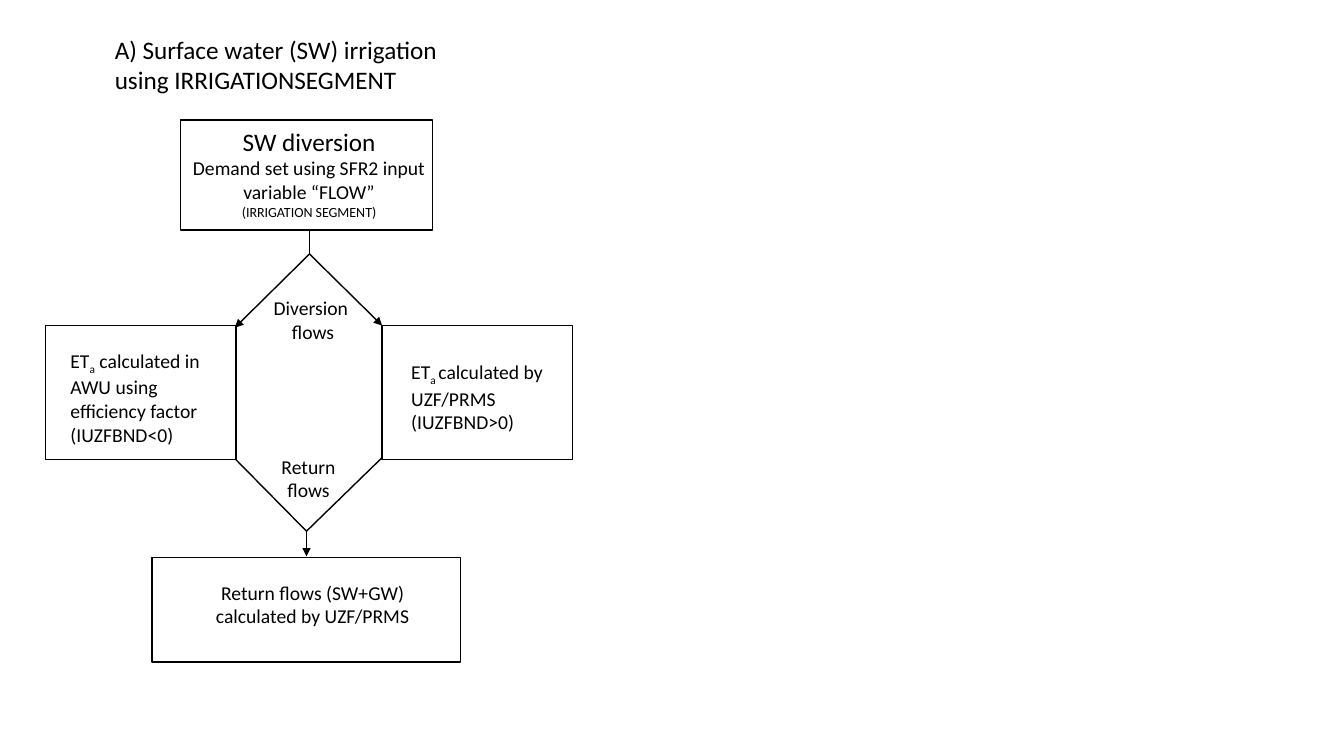
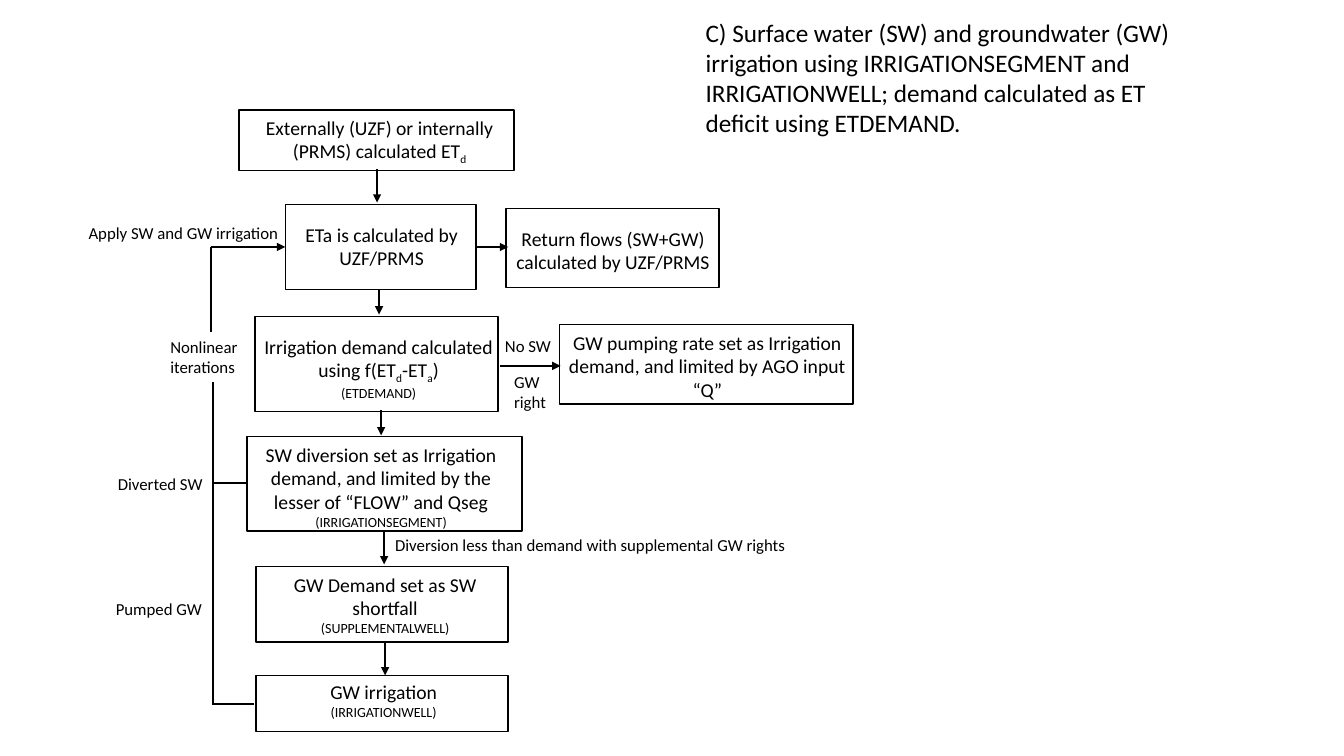
from dataclasses import dataclass
from typing import Any

from lxml import etree
from pptx import Presentation
from pptx.dml.color import RGBColor
from pptx.enum.shapes import MSO_CONNECTOR, MSO_SHAPE
from pptx.enum.text import MSO_AUTO_SIZE, PP_ALIGN
from pptx.oxml.ns import qn
from pptx.util import Inches, Pt

BLACK = RGBColor(0x00, 0x00, 0x00)
FONT = "Calibri"
TITLE_SIZE, BODY_SIZE, LABEL_SIZE, KEYWORD_SIZE = 18, 14, 12, 10
LEFT, CENTER = PP_ALIGN.LEFT, PP_ALIGN.CENTER
RECTANGLE = MSO_SHAPE.RECTANGLE
STRAIGHT = MSO_CONNECTOR.STRAIGHT
GROW = MSO_AUTO_SIZE.SHAPE_TO_FIT_TEXT


@dataclass
class Region:
    """A slide area; all lengths inside it are inches from its top left corner."""
    slide: Any
    left: float
    top: float
    line_width: float = 1

    def place(self, x, y):
        return Inches(self.left + x), Inches(self.top + y)

    def text(self, box, paragraphs, size=BODY_SIZE, align=LEFT, wrap=True):
        """Each paragraph is a string or (string, size); ~ encloses a subscript."""
        x, y, width, height = box
        text_box = self.slide.shapes.add_textbox(
            *self.place(x, y), Inches(width), Inches(height))
        frame = text_box.text_frame
        frame.word_wrap = wrap
        frame.auto_size = GROW
        for index, item in enumerate(paragraphs):
            content, points = item if isinstance(item, tuple) else (item, size)
            paragraph = frame.add_paragraph() if index else frame.paragraphs[0]
            paragraph.alignment = align
            paragraph.font.name = FONT
            paragraph.font.size = Pt(points)
            paragraph.font.color.rgb = BLACK
            for part, piece in enumerate(content.split("~")):
                run = paragraph.add_run()
                run.text = piece
                if part % 2:
                    run._r.get_or_add_rPr().set("baseline", "-25000")

    def node(self, outline, text_box, paragraphs, align=CENTER):
        x, y, width, height = outline
        shape = self.slide.shapes.add_shape(
            RECTANGLE, *self.place(x, y), Inches(width), Inches(height))
        shape.shadow.inherit = False
        shape.fill.background()
        shape.line.color.rgb = BLACK
        shape.line.width = Pt(1)
        self.text(text_box, paragraphs, align=align)

    def line(self, start, end, arrow=False):
        connector = self.slide.shapes.add_connector(
            STRAIGHT, *self.place(*start), *self.place(*end))
        connector.line.color.rgb = BLACK
        connector.line.width = Pt(self.line_width)
        if arrow:
            outline = connector.line._get_or_add_ln()
            etree.SubElement(outline, qn("a:tailEnd"), type="triangle")
        etree.SubElement(connector._element.spPr, qn("a:effectLst"))

    def arrow(self, start, end):
        self.line(start, end, arrow=True)


def add_title(slide, left, top, width, height, text):
    Region(slide, left, top).text((0, 0, width, height), [text], TITLE_SIZE)


def surface_water_flow(slide, left, top):
    region = Region(slide, left, top)

    # Diversion at the top
    region.node((1.34, 0, 2.5, 1.09), (1.12, 0.01, 2.99, 1.28), [
        ("SW diversion", TITLE_SIZE),
        "Demand set using SFR2 input variable “FLOW”",
        ("(IRRIGATION SEGMENT)", KEYWORD_SIZE)])

    # Two ways to calculate evapotranspiration
    region.node((0, 2.04, 1.89, 1.33), (0.15, 2.22, 1.82, 1.04), [
        "ET~a~ calculated in AWU using efficiency factor",
        "(IUZFBND<0)"], LEFT)
    region.node((3.34, 2.04, 1.89, 1.33), (3.53, 2.33, 1.89, 0.81), [
        "ET~a ~calculated by UZF/PRMS", "(IUZFBND>0)"], LEFT)

    # Return flows at the bottom
    region.node((1.06, 4.34, 3.06, 1.04), (1.29, 4.52, 2.72, 0.57),
                ["Return flows (SW+GW) calculated by UZF/PRMS"])

    # Branching and joining lines
    split, join = (2.62, 1.33), (2.59, 4.08)
    region.line((2.62, 1.09), split)
    region.arrow(split, (3.34, 2.04))
    region.arrow(split, (1.88, 2.06))
    region.line((1.88, 3.36), join)
    region.line((3.34, 3.35), join)
    region.arrow(join, (2.59, 4.33))

    # Flow labels
    region.text((2.16, 1.7, 0.99, 0.57), ["Diversion ", "flows"],
                align=CENTER, wrap=False)
    region.text((2.24, 3.27, 0.74, 0.57), ["Return", "flows"],
                align=CENTER, wrap=False)


def conjunctive_use_flow(slide, left, top):
    region = Region(slide, left, top, line_width=1.5)

    # Main column of steps
    region.node((1.59, 0, 2.73, 0.6), (1.59, 0.01, 2.79, 0.57),
                ["Externally (UZF) or internally (PRMS) calculated ET~d~"])
    region.node((2.05, 0.94, 1.89, 0.84), (2.06, 1.07, 1.89, 0.57),
                ["ETa is calculated by UZF/PRMS"])
    region.node((1.75, 2.05, 2.41, 0.94), (1.72, 2.18, 2.51, 0.74), [
        "Irrigation demand calculated using f(ET~d~-ET~a~)",
        ("(ETDEMAND)", KEYWORD_SIZE)])
    region.node((1.67, 3.24, 2.73, 0.94), (1.6, 3.25, 2.8, 0.98), [
        "SW diversion set as Irrigation demand, and limited by the "
        "lesser of “FLOW” and Qseg",
        ("(IRRIGATIONSEGMENT)", KEYWORD_SIZE)])
    region.node((1.76, 4.53, 2.5, 0.75), (1.78, 4.54, 2.52, 0.74), [
        "GW Demand set as SW shortfall",
        ("(SUPPLEMENTALWELL)", KEYWORD_SIZE)])
    region.node((1.76, 5.61, 2.5, 0.56), (1.53, 5.61, 2.99, 0.74), [
        "GW irrigation", ("(IRRIGATIONWELL)", KEYWORD_SIZE)])

    # Side branches
    region.node((4.24, 0.98, 2.11, 0.78), (3.99, 1.11, 2.62, 0.57),
                ["Return flows (SW+GW) calculated by UZF/PRMS"])
    region.node((4.77, 2.13, 2.91, 0.79), (4.74, 2.14, 2.99, 0.81), [
        "GW pumping rate set as Irrigation demand, and limited by "
        "AGO input “Q”"])

    # Arrows down the column
    for x, start, end in [(2.96, 0.59, 0.92), (2.98, 1.79, 2.03),
                          (3, 2.98, 3.23), (3.03, 4.18, 4.51),
                          (3.04, 5.28, 5.61)]:
        region.arrow((x, start), (x, end))

    # Arrows to the right
    for y, start, end in [(1.36, 1.31, 2.05), (1.36, 3.93, 4.26),
                          (2.54, 4.18, 4.78)]:
        region.arrow((start, y), (end, y))

    # Iteration loop on the left
    region.line((1.74, 5.89), (1.34, 5.89))
    region.line((1.33, 5.9), (1.33, 2.7))
    region.line((1.68, 3.7), (1.33, 3.7))
    region.line((1.31, 2.2), (1.31, 1.36))

    # Labels on one line, then wrapped labels
    for box, label in [
            ((0, 1.07, 2.1, 0.3), "Apply SW and GW irrigation"),
            ((0.29, 3.56, 1.05, 0.3), "Diverted SW"),
            ((0.27, 4.8, 1.07, 0.3), "Pumped GW"),
            ((3.04, 4.17, 4.11, 0.3),
             "Diversion less than demand with supplemental GW rights")]:
        region.text(box, [label], LABEL_SIZE, wrap=False)
    for box, label in [
            ((0.81, 2.2, 1.05, 0.5), "Nonlinear iterations"),
            ((4.13, 2.19, 1.2, 0.3), "No SW"),
            ((4.22, 2.55, 0.69, 0.5), "GW right")]:
        region.text(box, [label], LABEL_SIZE)


presentation = Presentation()
presentation.slide_width = Inches(13.33)
presentation.slide_height = Inches(7.5)
blank_layout = presentation.slide_layouts[6]

surface_slide = presentation.slides.add_slide(blank_layout)
add_title(surface_slide, 1.04, 0.29, 3.94, 0.71,
          "A) Surface water (SW) irrigation using IRRIGATIONSEGMENT")
surface_water_flow(surface_slide, 0.45, 1.19)

conjunctive_slide = presentation.slides.add_slide(blank_layout)
add_title(conjunctive_slide, 6.9, 0.12, 5, 1.31,
          "C) Surface water (SW) and groundwater (GW) irrigation using "
          "IRRIGATIONSEGMENT and IRRIGATIONWELL; demand calculated as ET "
          "deficit using ETDEMAND.")
conjunctive_use_flow(conjunctive_slide, 0.78, 1.09)

presentation.save("out.pptx")
